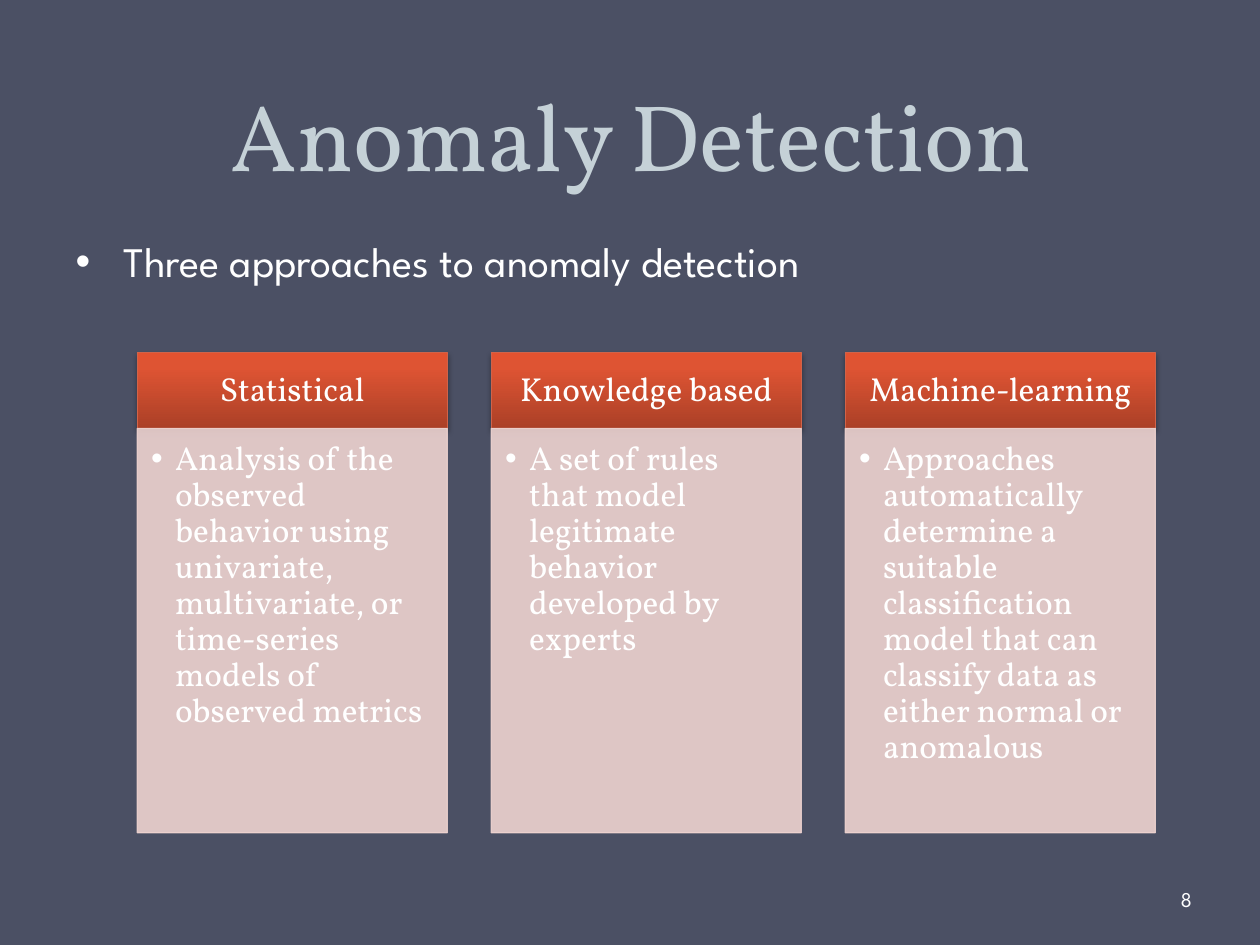
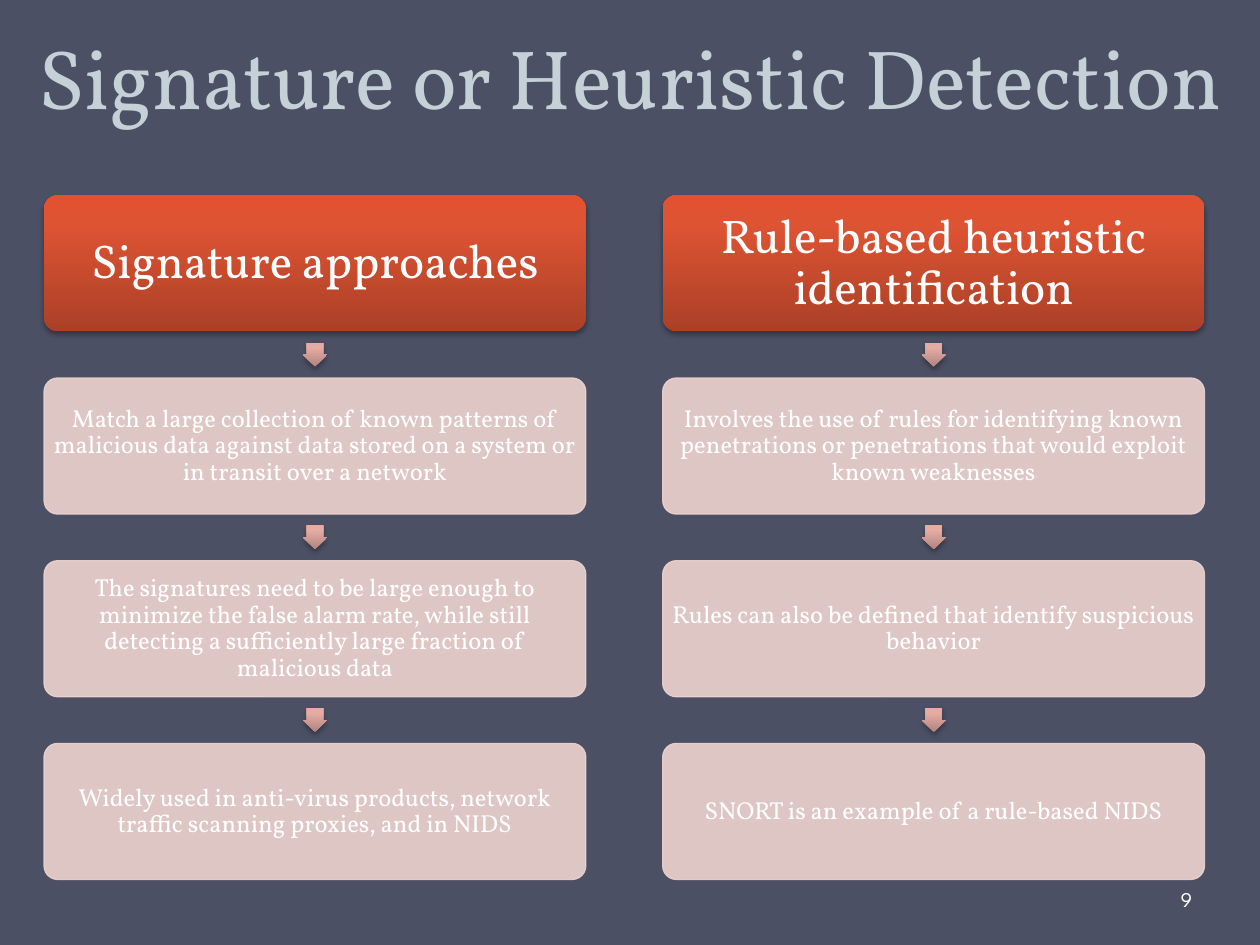
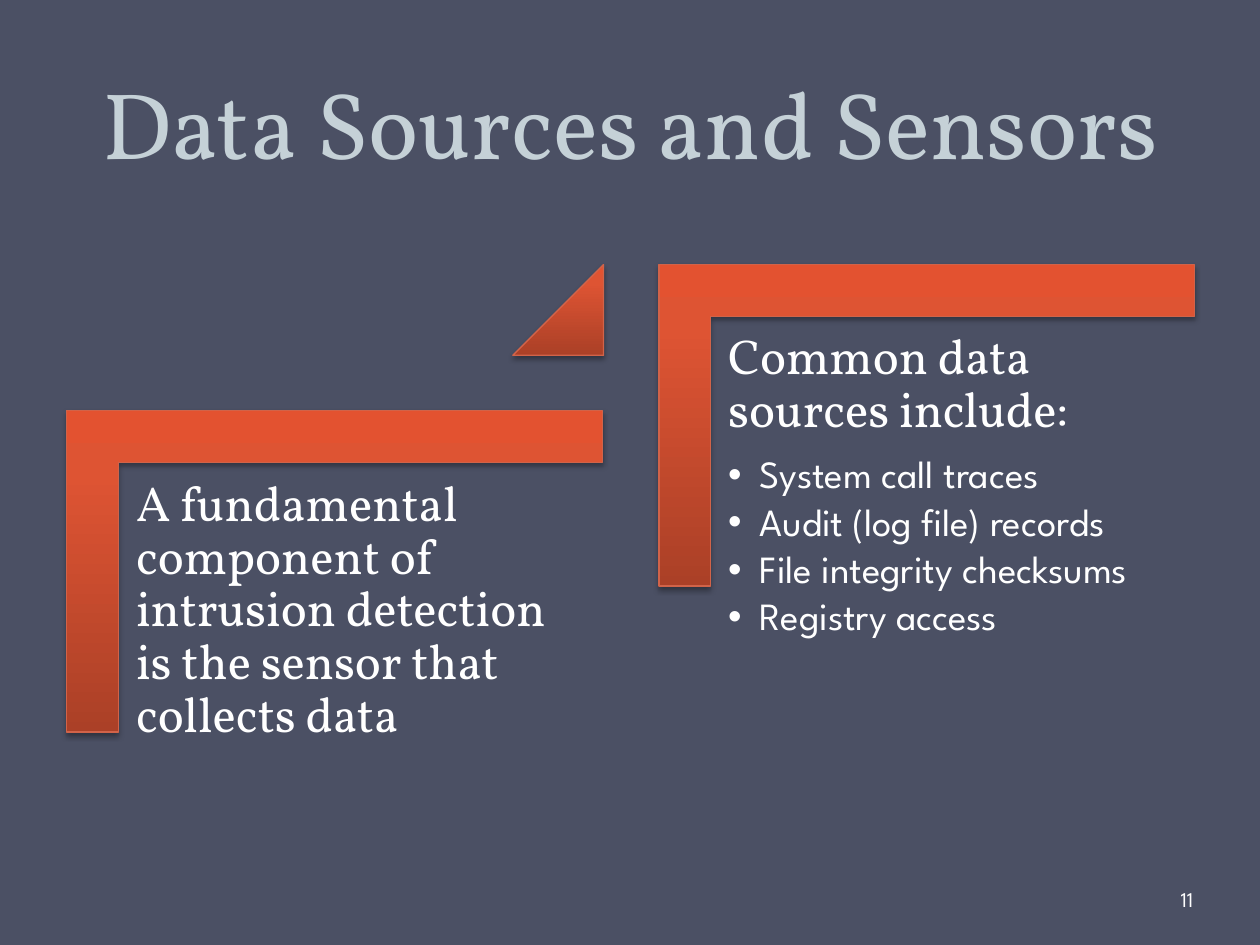
import dataclasses
from typing import Any, NamedTuple

import lxml.etree
import pptx
import pptx.dml.color
import pptx.enum.shapes
import pptx.enum.text
import pptx.oxml.ns
import pptx.util

Inches = pptx.util.Inches
Pt = pptx.util.Pt
RGB = pptx.dml.color.RGBColor
Form = pptx.enum.shapes.MSO_SHAPE
Align = pptx.enum.text.PP_ALIGN
Anchor = pptx.enum.text.MSO_ANCHOR
Fit = pptx.enum.text.MSO_AUTO_SIZE
qn = pptx.oxml.ns.qn

SLATE = RGB(0x4B, 0x50, 0x64)
MIST = RGB(0xC5, 0xD1, 0xD7)
WHITE = RGB(0xFF, 0xFF, 0xFF)
BLUSH = RGB(0xEE, 0xD3, 0xD0)
RUST = RGB(0xD1, 0x63, 0x49)
BLACK = RGB(0x00, 0x00, 0x00)
# Gradient stops from bottom to top, as percent and colour.
EMBER = [(0, RGB(0xAB, 0x40, 0x27)), (80, RGB(0xDE, 0x54, 0x33)), (100, RGB(0xE3, 0x52, 0x30))]
ROSE = [(0, RGB(0xB1, 0x84, 0x7F)), (80, RGB(0xE5, 0xAC, 0xA4)), (100, RGB(0xE8, 0xAC, 0xA4))]

SERIF = "Vollkorn"
SANS = "League Spartan"


class Area(NamedTuple):
    """Left, top, width and height in inches."""
    left: float
    top: float
    width: float
    height: float


@dataclasses.dataclass
class Para:
    text: str
    size: float
    face: str = SERIF
    align: Any = Align.LEFT
    indent: float = 0
    after: float = 0


@dataclasses.dataclass
class Look:
    form: Any
    stops: list | None = None
    line: RGB | None = None
    adjust: tuple = ()
    turn: float = 0


HEAD = Look(Form.RECTANGLE, EMBER, RUST)
PANEL = Look(Form.RECTANGLE, line=BLUSH)
LEAD = Look(Form.ROUNDED_RECTANGLE, EMBER, adjust=(0.1,))
STEP = Look(Form.ROUNDED_RECTANGLE, line=BLUSH, adjust=(0.1,))
ARROW = Look(Form.RIGHT_ARROW, ROSE, adjust=(0.67, 0.5), turn=90)
CORNER = Look(None, EMBER, RUST)
WEDGE = Look(Form.ISOSCELES_TRIANGLE, EMBER, RUST, (1.0,))

TRIO = [
    ("Statistical", "Analysis of the observed behavior using univariate, multivariate, "
     "or time-series models of observed metrics"),
    ("Knowledge based", "A set of rules that model legitimate behavior developed by experts"),
    ("Machine-learning", "Approaches automatically determine a suitable classification model "
     "that can classify data as either normal or anomalous"),
]
CHAINS = [
    ["Signature approaches",
     "Match a large collection of known patterns of malicious data against data stored "
     "on a system or in transit over a network",
     "The signatures need to be large enough to minimize the false alarm rate, while still "
     "detecting a sufficiently large fraction of malicious data",
     "Widely used in anti-virus products, network traffic scanning proxies, and in NIDS"],
    ["Rule-based heuristic identification",
     "Involves the use of rules for identifying known penetrations or penetrations that "
     "would exploit known weaknesses",
     "Rules can also be defined that identify suspicious behavior",
     "SNORT is an example of a rule-based NIDS"],
]
SOURCES = ["System call traces", "Audit (log file) records",
           "File integrity checksums", "Registry access"]


def assign(target: Any, values: dict[str, Any]) -> None:
    for name, value in values.items():
        setattr(target, name, value)


def place(shape: Any, area: Area) -> None:
    assign(shape, {name: Inches(size) for name, size in area._asdict().items()})


def add(parent: Any, tag: str, **attrs: Any) -> Any:
    return lxml.etree.SubElement(parent, qn(tag), {key: str(val) for key, val in attrs.items()})


def blend(shape: Any, stops: list) -> None:
    """Swap the solid fill for a gradient that stays upright on a turned shape."""
    grad = lxml.etree.Element(qn("a:gradFill"), {"rotWithShape": "0"})
    group = add(grad, "a:gsLst")
    for pos, color in stops:
        add(add(group, "a:gs", pos=pos * 1000), "a:srgbClr", val=color)
    add(grad, "a:lin", ang=270 * 60000, scaled=0)
    props = shape._element.spPr
    props.replace(props.find(qn("a:solidFill")), grad)


def shade(shape: Any) -> None:
    glow = shape._element.spPr.find(qn("a:effectLst"))
    drop = add(glow, "a:outerShdw", blurRad=Pt(3.1), dist=Pt(1.8),
               dir=90 * 60000, rotWithShape=0)
    add(add(drop, "a:srgbClr", val=BLACK), "a:alpha", val=35000)


def paint(shape: Any, look: Look) -> None:
    shape.shadow.inherit = False
    shape.fill.solid()
    shape.fill.fore_color.rgb = BLUSH
    if look.line is None:
        shape.line.fill.background()
    else:
        shape.line.color.rgb = look.line
        shape.line.width = Pt(0.75)
    if look.stops:
        blend(shape, look.stops)
        shade(shape)
    else:
        for color in shape._element.spPr.iter(qn("a:srgbClr")):
            add(color, "a:alpha", val=90000)


def draw(slide: Any, look: Look, area: Area) -> Any:
    shape = slide.shapes.add_shape(look.form, *map(Inches, area))
    shape.rotation = look.turn
    for index, value in enumerate(look.adjust):
        shape.adjustments[index] = value
    paint(shape, look)
    return shape


def bend(slide: Any, area: Area, arm: float) -> None:
    """Draw a bar along the top and left sides of the area."""
    left, top, width, height = area
    right, base = left + width, top + height
    dots = [(right, top), (right, top + arm), (left + arm, top + arm),
            (left + arm, base), (left, base)]
    pen = slide.shapes.build_freeform(Inches(left), Inches(top))
    pen.add_line_segments([(Inches(x), Inches(y)) for x, y in dots], close=True)
    paint(pen.convert_to_shape(), CORNER)


def write(shape: Any, paras: list[Para], inset: tuple[float, ...],
          anchor: Any = Anchor.TOP, pitch: Any = 0.9, color: RGB = WHITE) -> None:
    """Set text; inset is left, top, right, bottom in inches."""
    frame = shape.text_frame
    sides = ("margin_left", "margin_top", "margin_right", "margin_bottom")
    assign(frame, dict(zip(sides, map(Inches, inset))))
    assign(frame, {"word_wrap": True, "auto_size": Fit.NONE, "vertical_anchor": anchor})
    for index, para in enumerate(paras):
        line = frame.add_paragraph() if index else frame.paragraphs[0]
        line.text = para.text
        assign(line, {"alignment": para.align, "line_spacing": pitch,
                      "space_before": Pt(0), "space_after": Pt(para.after)})
        if para.indent:
            props = line._p.get_or_add_pPr()
            props.set("marL", str(Inches(para.indent)))
            props.set("indent", str(-Inches(para.indent)))
            add(props, "a:buFont", typeface="Arial")
            add(props, "a:buChar", char="•")
        assign(line.font, {"name": para.face, "size": Pt(para.size)})
        line.font.color.rgb = color


def label(slide: Any, area: Area, paras: list[Para], inset: tuple[float, ...],
          anchor: Any = Anchor.TOP) -> None:
    box = slide.shapes.add_textbox(*map(Inches, area))
    write(box, paras, inset, anchor)


def start(deck: Any, layout: int, title: str, area: Area, size: float, number: int) -> Any:
    slide = deck.slides.add_slide(deck.slide_layouts[layout])
    place(slide.shapes.title, area)
    write(slide.shapes.title, [Para(title, size, align=Align.CENTER)],
          (0.1, 0.05, 0.1, 0.05), Anchor.BOTTOM, Pt(58), MIST)
    label(slide, Area(9.34, 6.95, 0.61, 0.4), [Para(str(number), 12, SANS)],
          (0.03, 0.05, 0.05, 0.05), Anchor.MIDDLE)
    return slide


def build_trio(deck: Any) -> None:
    slide = start(deck, 1, "Anomaly Detection", Area(0.51, -0.19, 9, 1.75), 54, 8)
    body = slide.placeholders[1]
    place(body, Area(0.5, 1.75, 9, 4.95))
    write(body, [Para("Three approaches to anomaly detection", 24, SANS, indent=0.38)],
          (0.1, 0.12, 0.1, 0.05), pitch=1.0)
    for index, (name, text) in enumerate(TRIO):
        left = 1.09 + 2.81 * index
        head = draw(slide, HEAD, Area(left, 2.8, 2.46, 0.6))
        write(head, [Para(name, 19, align=Align.CENTER)],
              (0.15, 0.08, 0.15, 0.08), Anchor.MIDDLE)
        panel = draw(slide, PANEL, Area(left, 3.4, 2.46, 3.21))
        write(panel, [Para(text, 19, indent=0.19)], (0.11, 0.11, 0.15, 0.17))


def build_chains(deck: Any) -> None:
    slide = start(deck, 5, "Signature or Heuristic Detection",
                  Area(0, -0.42, 10, 1.47), 48, 9)
    width, height, tip = 4.3, 1.08, 0.19
    for col, chain in enumerate(CHAINS):
        left = 0.35 + 4.91 * col
        for row, text in enumerate(chain):
            top = 1.55 + 1.45 * row
            look, size, pad = (STEP, 14, 0.02) if row else (LEAD, 27, 0.04)
            if row:
                draw(slide, ARROW, Area(left + (width - tip) / 2, top - 0.28, tip, tip))
            card = draw(slide, look, Area(left, top, width, height))
            write(card, [Para(text, size, align=Align.CENTER)], (pad,) * 4, Anchor.MIDDLE)


def build_stairs(deck: Any) -> None:
    slide = start(deck, 5, "Data Sources and Sensors", Area(0.5, 0, 9, 1.47), 54, 11)
    low = [Para("A fundamental component of intrusion detection is the sensor "
                "that collects data", 28)]
    high = [Para("Common data sources include:", 28, after=9.8)]
    high += [Para(text, 22, SANS, indent=0.25, after=3.3) for text in SOURCES]
    for index, paras in enumerate((low, high)):
        left, top = 0.53 + 4.7 * index, 3.26 - 1.16 * index
        bend(slide, Area(left, top, 4.25, 2.55), 0.41)
        label(slide, Area(left + 0.43, top + 0.42, 3.84, 3.36), paras, (0.12,) * 4)
    draw(slide, WEDGE, Area(4.07, 2.1, 0.72, 0.72))


def main() -> None:
    deck = pptx.Presentation()
    assign(deck, {"slide_width": Inches(10), "slide_height": Inches(7.5)})
    ground = deck.slide_master.background.fill
    ground.solid()
    ground.fore_color.rgb = SLATE
    for build in (build_trio, build_chains, build_stairs):
        build(deck)
    deck.save("out.pptx")


if __name__ == "__main__":
    main()
